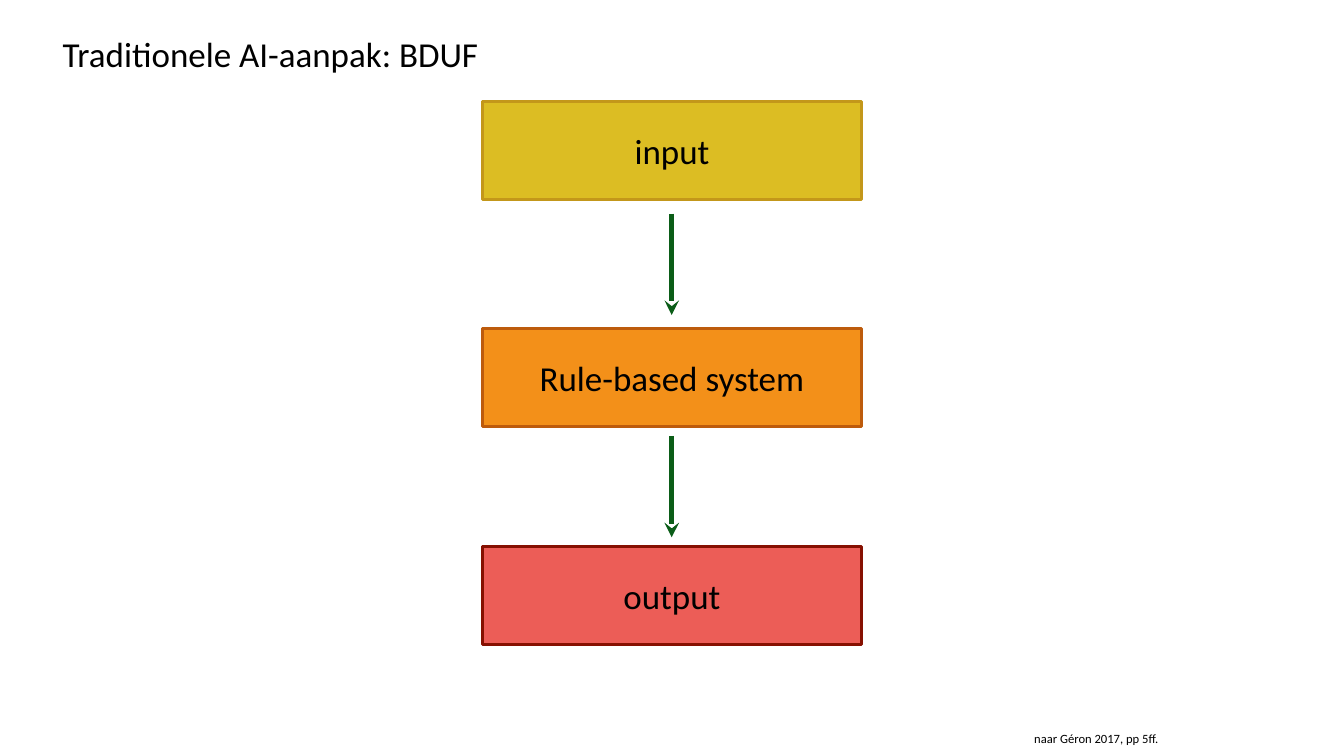
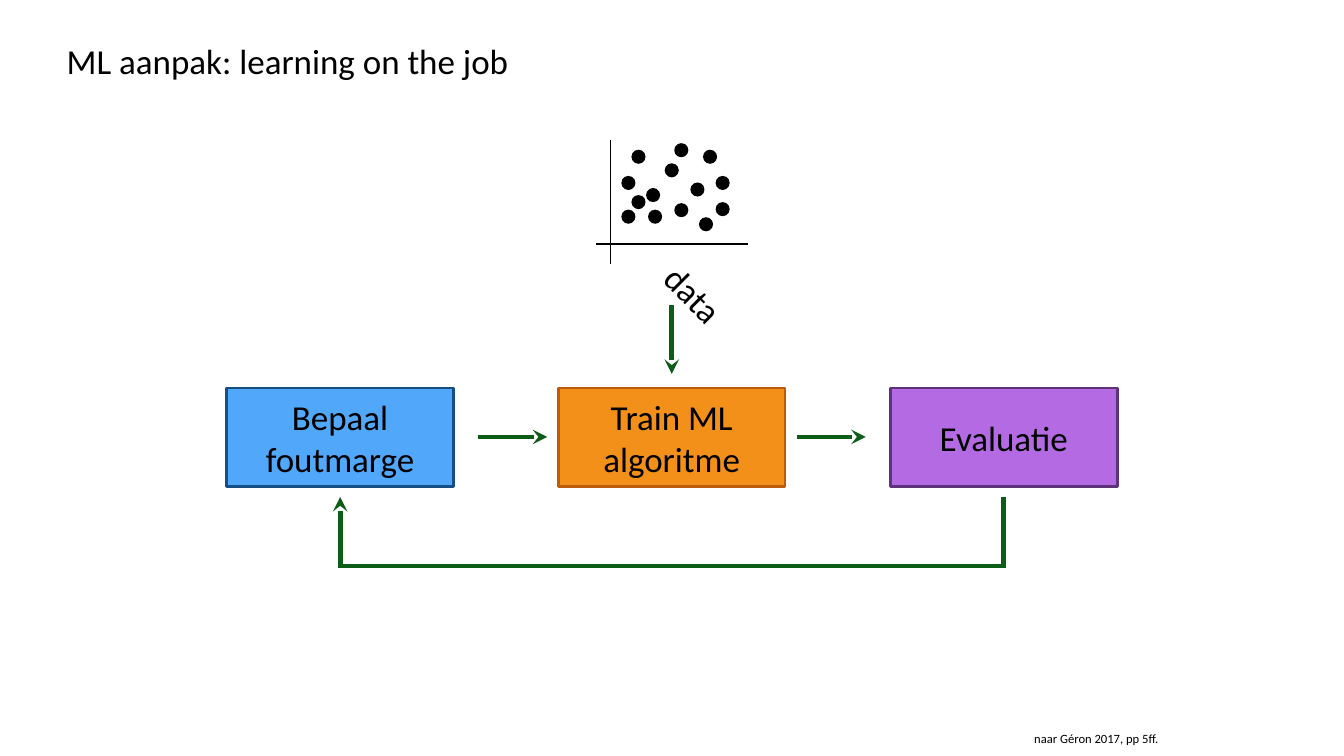
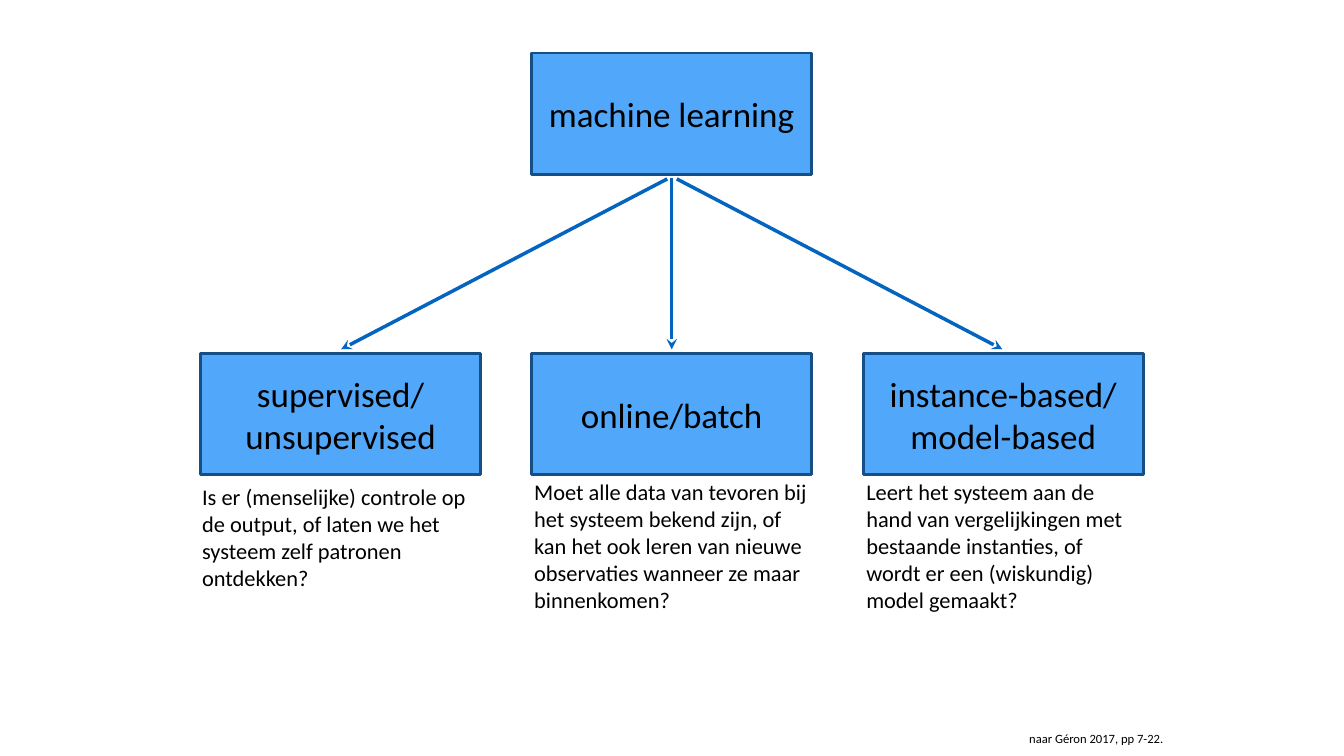
"""Build three slides on rule-based AI and machine learning."""
from dataclasses import dataclass

from lxml import etree
from pptx import Presentation
from pptx import util as u
from pptx.dml.color import RGBColor
from pptx.enum import shapes as s, text as t
from pptx.oxml import ns

PX = u.Inches(1) // 100


@dataclass(frozen=True)
class Theme:
    font: str = "Calibri"
    big: int = 50
    mid: int = 32
    small: int = 18
    ink: str = "000000"
    green: str = "0B5D18"
    azure: str = "0365C0"
    gold: tuple = ("DCBD23", "C3971A")
    orange: tuple = ("F39019", "BD5B0C")
    red: tuple = ("EC5D57", "861001")
    blue: tuple = ("51A7F9", "164F86")
    purple: tuple = ("B36AE2", "5F327C")


look = Theme()


def write(item, words, size, tone=None, wrap=True, side=t.PP_ALIGN.CENTER):
    """Set the text of a shape and, given a tone, its fill and border."""
    if tone:
        item.shadow.inherit = False
        item.fill.solid()
        item.fill.fore_color.rgb = RGBColor.from_string(tone[0])
        item.line.color.rgb = RGBColor.from_string(tone[1])
        item.line.width = u.Pt(4)
    frame = item.text_frame
    frame.text = words
    frame.word_wrap = wrap
    frame.auto_size = t.MSO_AUTO_SIZE.NONE
    frame.vertical_anchor = t.MSO_ANCHOR.MIDDLE
    frame.margin_left = frame.margin_right = 8 * PX
    frame.margin_top = frame.margin_bottom = 8 * PX
    for para in frame.paragraphs:
        para.alignment = side
        for run in para.runs:
            run.font.name = look.font
            run.font.size = u.Pt(size)
            run.font.color.rgb = RGBColor.from_string(look.ink)


def draw(parent, ends, tint, width, tip=True):
    """Add a straight line, with an arrowhead at its end if tip is set."""
    line = parent.add_connector(s.MSO_CONNECTOR.STRAIGHT, *[n * PX for n in ends])
    line.line.color.rgb = RGBColor.from_string(tint)
    line.line.width = u.Pt(width)
    if tip:
        ln = line.line._get_or_add_ln()
        etree.SubElement(ln, ns.qn("a:tailEnd"), type="stealth")
    etree.SubElement(line._element.spPr, ns.qn("a:effectLst"))


deck = Presentation()
deck.slide_width, deck.slide_height = 2667 * PX, 1500 * PX
rect = s.MSO_SHAPE.RECTANGLE
mid = 1333

plan = [
    ("Traditionele AI-aanpak: BDUF", (116, 63, 842, 86), "naar Géron 2017, pp 5ff.", 263),
    ("ML aanpak: learning on the job", (124, 77, 894, 86), "naar Géron 2017, pp 5ff.", 263),
    (None, None, "naar Géron 2017, pp 7-22.", 283),
]
pages = []
for title, spot, note, wide in plan:
    page = deck.slides.add_slide(deck.slide_layouts[5 if title else 6])
    if title:
        head = page.shapes.title
        head.left, head.top, head.width, head.height = [n * PX for n in spot]
        write(head, title, look.big, wrap=False)
    foot = page.shapes.add_textbox((2175 - wide // 2) * PX, 1444 * PX, wide * PX, 42 * PX)
    write(foot, note, look.small, wrap=False)
    pages.append(page.shapes)
rules, learn, tree = pages

for top, label, tone in [
    (201, "input", look.gold),
    (652, "Rule-based system", look.orange),
    (1084, "output", look.red),
]:
    box = rules.add_shape(rect, 958 * PX, top * PX, 751 * PX, 195 * PX)
    write(box, label, look.big, tone)
for top in (424, 865):
    draw(rules, (mid, top, mid, top + 201), look.green, 7)

for col, (label, tone) in enumerate([
    ("Bepaal foutmarge", look.blue),
    ("Train ML algoritme", look.orange),
    ("Evaluatie", look.purple),
]):
    box = learn.add_shape(rect, (450 + 1317 * col // 2) * PX, 770 * PX, 450 * PX, 195 * PX)
    write(box, label, look.big, tone)

plot = learn.add_group_shape().shapes
draw(plot, (1211, 523, 1211, 278), look.ink, 2, tip=False)
draw(plot, (1182, 484, 1485, 484), look.ink, 2, tip=False)
for x, y in [
    (1253, 297), (1233, 349), (1253, 387), (1233, 416), (1282, 373),
    (1338, 403), (1319, 324), (1286, 416), (1370, 362), (1387, 431),
    (1395, 297), (1338, 284), (1420, 349), (1420, 401),
]:
    dot = plot.add_shape(s.MSO_SHAPE.OVAL, x * PX, y * PX, 28 * PX, 28 * PX)
    dot.shadow.inherit = False
    dot.fill.solid()
    dot.fill.fore_color.rgb = RGBColor.from_string(look.ink)
    dot.line.fill.background()
data = plot.add_textbox(1307 * PX, 541 * PX, 139 * PX, 86 * PX)
write(data, "data", look.big, wrap=False)
data.rotation = 45

for ends in [(mid, 605, mid, 742), (1581, 867, 1718, 867), (948, 867, 1086, 867)]:
    draw(learn, ends, look.green, 7)
loop = learn.add_group_shape().shapes
draw(loop, (675, 1123, 675, 986), look.green, 7)
draw(loop, (1992, 1123, 1992, 986), look.green, 7, tip=False)
draw(loop, (1996, 1123, 670, 1123), look.green, 7, tip=False)

root = tree.add_shape(rect, 1055 * PX, 105 * PX, 556 * PX, 241 * PX)
write(root, "machine learning", look.big, look.blue)
for col, (label, ask, top, high) in enumerate([
    ("supervised/\nunsupervised",
     "Is er (menselijke) controle op de output, of laten we het systeem zelf "
     "patronen ontdekken?", 955, 222),
    ("online/batch",
     "Moet alle data van tevoren bij het systeem bekend zijn, of kan het ook "
     "leren van nieuwe observaties wanneer ze maar binnenkomen?", 944, 277),
    ("instance-based/model-based",
     "Leert het systeem aan de hand van vergelijkingen met bestaande instanties, "
     "of wordt er een (wiskundig) model gemaakt?", 944, 277),
]):
    left = 398 + 1315 * col // 2
    box = tree.add_shape(rect, left * PX, 701 * PX, 556 * PX, 241 * PX)
    write(box, label, look.big, look.blue)
    body = tree.add_textbox((393 + 659 * col) * PX, top * PX, 562 * PX, high * PX)
    write(body, ask, look.mid, side=t.PP_ALIGN.LEFT)
for ends in [(mid, 353, mid, 693), (1324, 355, 677, 693), (1343, 355, 1989, 693)]:
    draw(tree, ends, look.azure, 5)

deck.save("out.pptx")
